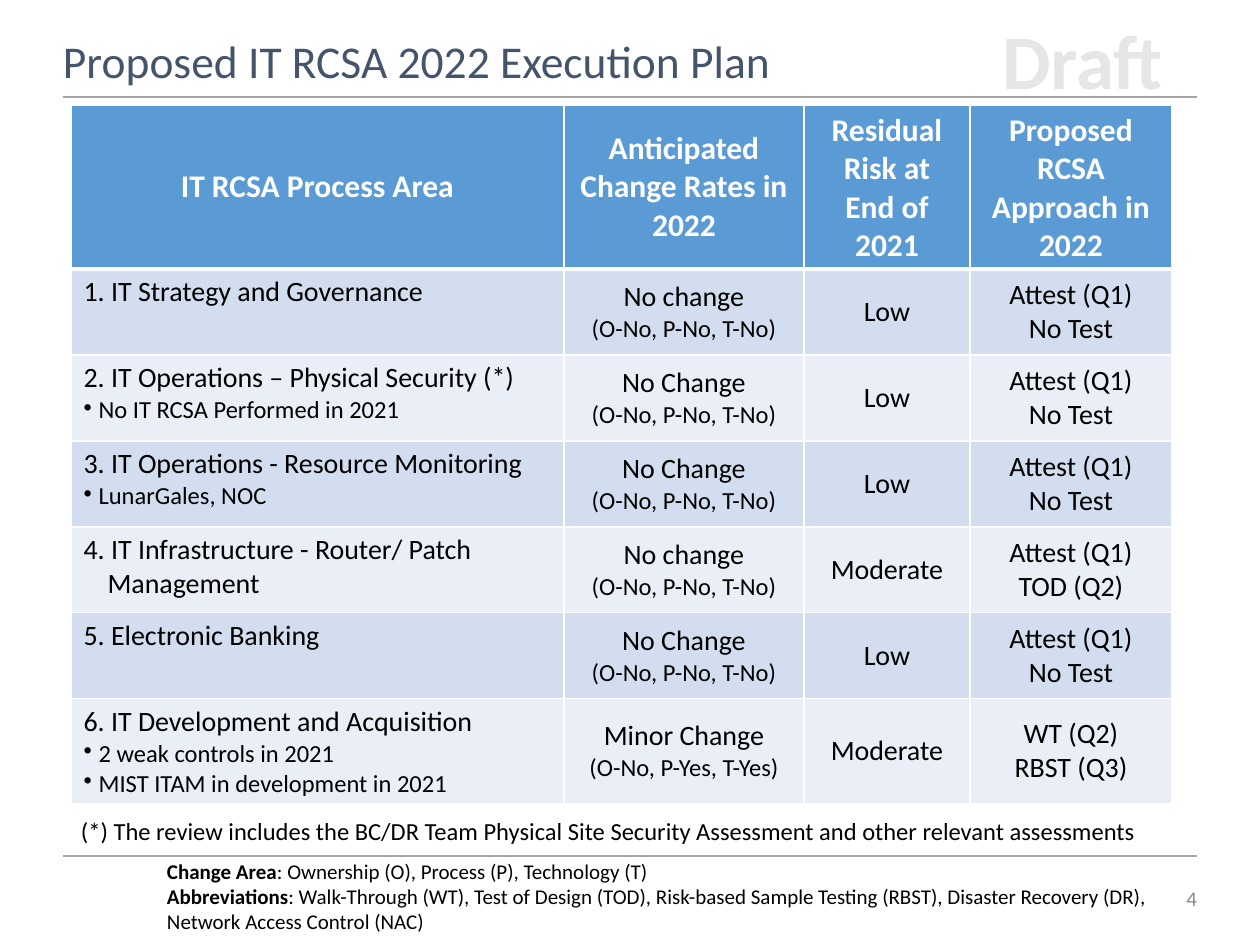
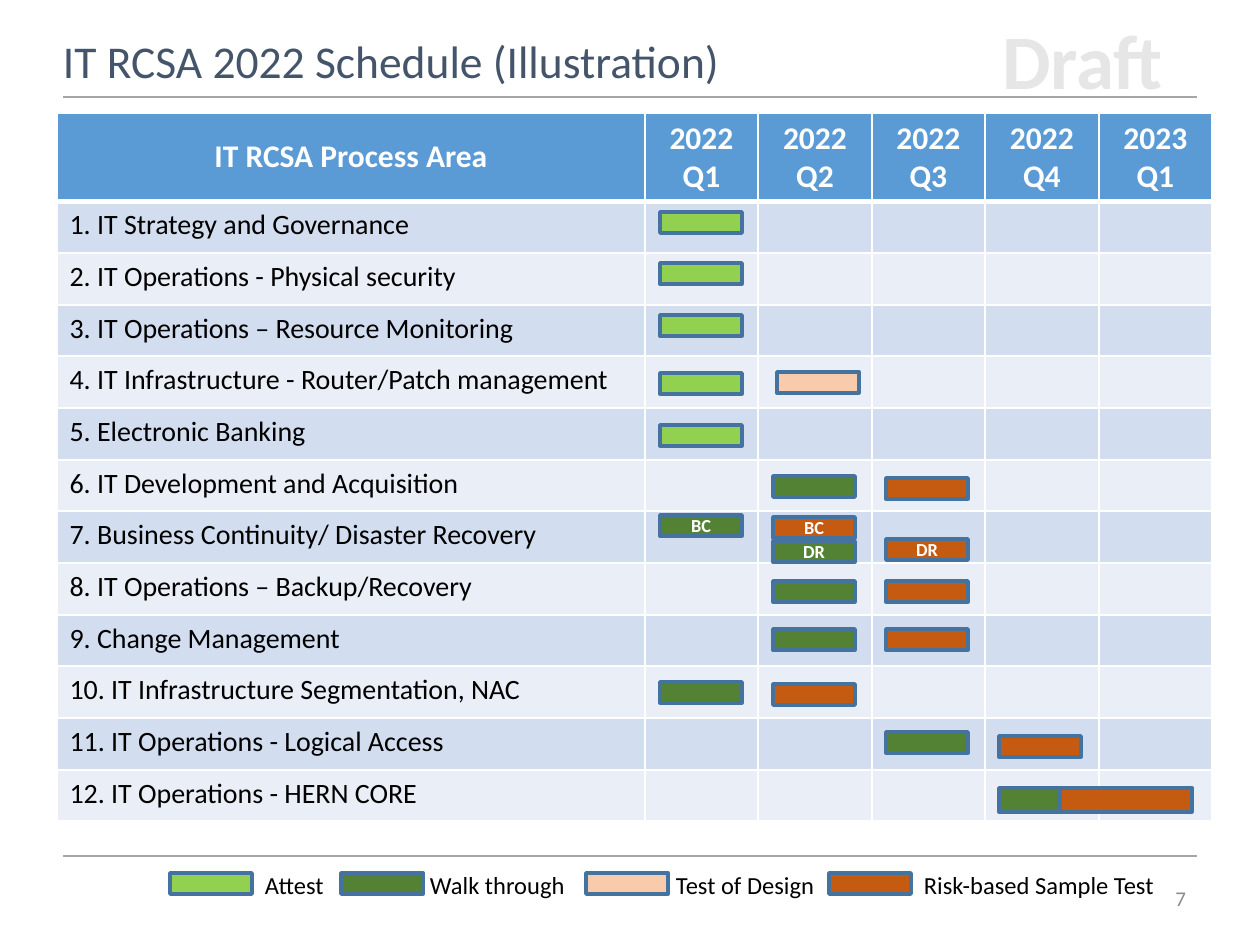
"""Build two slides of an IT risk and control self-assessment (RCSA) plan."""
from dataclasses import dataclass

import pptx
import pptx.dml.color
import pptx.enum.shapes
import pptx.enum.text
import pptx.oxml
import pptx.oxml.ns
import pptx.util

EMU_PER_PIXEL = 914400 / 126
FONT = "Calibri"
COLORS = {
    "rule": "A6A6A6", "stamp": "E7E6E6", "title": "44546A", "number": "8C8C8C",
    "text": "000000", "white": "FFFFFF", "header": "5B9BD5",
    "odd": "D2DEEF", "even": "EAEFF7", "outline": "43739E",
    "attest": "92D050", "walk": "548235", "design": "F8CBAD", "sample": "C55A11",
}
ALIGN = pptx.enum.text.PP_ALIGN
ANCHOR = pptx.enum.text.MSO_ANCHOR


@dataclass
class Line:
    """One paragraph: (text, bold) runs, or a string, and its style."""
    runs: object
    size: float = 16
    color: str = "text"
    bold: bool = False
    align: object = ALIGN.LEFT
    hanging: int = 0
    bullet: bool = False


def px(pixels):
    """Turn pixels into EMU."""
    return pptx.util.Emu(round(pixels * EMU_PER_PIXEL))


def rgb(name):
    """Look up a named colour."""
    return pptx.dml.color.RGBColor.from_string(COLORS[name])


def centered(text, size=16, **style):
    """Make a centred line."""
    return Line(text, size, align=ALIGN.CENTER, **style)


def bullet(text):
    """Make a small bulleted line."""
    return Line(text, 14, hanging=15, bullet=True)


class Deck:
    """The shared style and the slide being drawn."""

    def __init__(self):
        self.presentation = pptx.Presentation()
        self.presentation.slide_width = px(1260)
        self.presentation.slide_height = px(945)
        self.slide = None

    def new_slide(self, title, number, number_left):
        """Start a slide with its title, rules, stamp and page number."""
        blank = self.presentation.slide_layouts[6]
        self.slide = self.presentation.slides.add_slide(blank)
        for height in (97, 856):
            self.rule(63, 1197, height)
        self.text((917, 6, 331, 106),
                  [centered("Draft", 44, color="stamp", bold=True)])
        self.text((number_left, 877, 53, 42),
                  [Line(number, 12, "number", align=ALIGN.RIGHT)],
                  ANCHOR.MIDDLE, right=0)
        self.text((63, 31, 1134, 63), [Line(title, 26, "title")],
                  ANCHOR.BOTTOM, left=0)

    def rule(self, start, end, height):
        """Draw a horizontal grey line."""
        rule = self.slide.shapes.add_connector(
            pptx.enum.shapes.MSO_CONNECTOR.STRAIGHT,
            px(start), px(height), px(end), px(height))
        rule.line.color.rgb = rgb("rule")
        rule.line.width = pptx.util.Pt(1.25)
        rule._element.spPr.append(pptx.oxml.parse_xml(
            f"<a:effectLst {pptx.oxml.ns.nsdecls('a')}/>"))

    def fill_lines(self, frame, lines):
        """Fill a text frame with lines, run by run."""
        for index, line in enumerate(lines):
            paragraph = frame.add_paragraph() if index else frame.paragraphs[0]
            paragraph.alignment = line.align
            runs = line.runs
            if isinstance(runs, str):
                runs = [(runs, line.bold)]
            for words, bold in runs:
                run = paragraph.add_run()
                run.text = words
                run.font.name = FONT
                run.font.size = pptx.util.Pt(line.size)
                run.font.bold = bold
                run.font.color.rgb = rgb(line.color)
            if line.hanging:
                properties = paragraph._p.get_or_add_pPr()
                properties.set("marL", str(px(line.hanging)))
                properties.set("indent", str(-px(line.hanging)))
                if line.bullet:
                    properties.append(pptx.oxml.parse_xml(
                        f"<a:buChar {pptx.oxml.ns.nsdecls('a')} char='•'/>"))

    def text(self, box, lines, anchor=ANCHOR.TOP, left=13, right=13):
        """Add a wrapping text box."""
        frame = self.slide.shapes.add_textbox(*map(px, box)).text_frame
        frame.word_wrap = True
        frame.vertical_anchor = anchor
        frame.margin_left, frame.margin_right = px(left), px(right)
        self.fill_lines(frame, lines)

    def bar(self, box, activity, label=""):
        """Draw an outlined bar in the colour of its activity."""
        bar = self.slide.shapes.add_shape(
            pptx.enum.shapes.MSO_SHAPE.RECTANGLE, *map(px, box))
        bar.shadow.inherit = False
        bar.fill.solid()
        bar.fill.fore_color.rgb = rgb(activity)
        bar.line.color.rgb = rgb("outline")
        bar.line.width = pptx.util.Pt(2)
        if label:
            frame = bar.text_frame
            frame.margin_top = frame.margin_bottom = 0
            frame.vertical_anchor = ANCHOR.MIDDLE
            self.fill_lines(
                frame, [centered(label, 10.5, color="white", bold=True)])

    def cell(self, cell, lines, fill, anchor, top=1, bottom=1):
        """Set a cell's white borders, fill and text."""
        properties = cell._tc.get_or_add_tcPr()
        for side, width in zip("LRTB", (1, 1, top, bottom)):
            properties.append(pptx.oxml.parse_xml(
                f"<a:ln{side} {pptx.oxml.ns.nsdecls('a')} "
                f"w='{pptx.util.Pt(width)}'><a:solidFill>"
                f"<a:srgbClr val='{COLORS['white']}'/></a:solidFill></a:ln{side}>"))
        cell.fill.solid()
        cell.fill.fore_color.rgb = rgb(fill)
        cell.vertical_anchor = anchor
        self.fill_lines(cell.text_frame, lines)

    def table(self, left, top, widths, heights, headings, body):
        """Add a banded table; body cells are lists of lines."""
        table = self.slide.shapes.add_table(
            len(heights), len(widths), px(left), px(top),
            px(sum(widths)), px(sum(heights))).table
        table.horz_banding = False
        for column, width in zip(table.columns, widths):
            column.width = px(width)
        for row, height in zip(table.rows, heights):
            row.height = px(height)
        for column, heading in enumerate(headings):
            self.cell(table.cell(0, column),
                      [centered(heading, 18, color="white", bold=True)],
                      "header", ANCHOR.MIDDLE, bottom=3)
        for row, entries in enumerate(body, 1):
            for column, lines in enumerate(entries):
                self.cell(table.cell(row, column), lines,
                          "odd" if row % 2 else "even",
                          ANCHOR.MIDDLE if column else ANCHOR.TOP,
                          top=3 if row == 1 else 1)


def execution_plan(deck):
    """Draw the plan table with its notes."""
    deck.new_slide("Proposed IT RCSA 2022 Execution Plan", "4", 1144)
    steady = "(O-No, P-No, T-No)"
    plan = [
        ([Line("1. IT Strategy and Governance")],
         "No change", steady, "Low", "Attest (Q1)", "No Test"),
        ([Line("2. IT Operations – Physical Security (*)"),
          bullet("No IT RCSA Performed in 2021")],
         "No Change", steady, "Low", "Attest (Q1)", "No Test"),
        ([Line("3. IT Operations - Resource Monitoring"),
          bullet("LunarGales, NOC")],
         "No Change", steady, "Low", "Attest (Q1)", "No Test"),
        ([Line("4. IT Infrastructure - Router/ Patch Management", hanging=24)],
         "No change", steady, "Moderate", "Attest (Q1)", "TOD (Q2)"),
        ([Line("5. Electronic Banking", hanging=24)],
         "No Change", steady, "Low", "Attest (Q1)", "No Test"),
        ([Line("6. IT Development and Acquisition"),
          bullet("2 weak controls in 2021"),
          bullet("MIST ITAM in development in 2021")],
         "Minor Change", "(O-No, P-Yes, T-Yes)", "Moderate",
         "WT (Q2)", "RBST (Q3)"),
    ]
    body = [
        [area, [centered(change), centered(detail, 14)], [centered(risk)],
         [centered(first), centered(second)]]
        for area, change, detail, risk, first, second in plan
    ]
    headings = ["IT RCSA Process Area", "Anticipated Change Rates in 2022",
                "Residual Risk at End of 2021", "Proposed RCSA Approach in 2022"]
    deck.table(71, 105, [493, 240, 166, 202], [154] + [86] * 6, headings, body)
    deck.text((154, 852, 1017, 89), [
        Line([("Change Area", True),
              (": Ownership (O), Process (P), Technology (T)", False)], 12),
        Line([("Abbreviations", True),
              (": Walk-Through (WT), Test of Design (TOD), Risk-based Sample "
               "Testing (RBST), Disaster Recovery (DR), Network Access Control "
               "(NAC)", False)], 12),
    ])
    deck.text((68, 810, 1110, 43), [
        Line("(*) The review includes the BC/DR Team Physical Site Security "
             "Assessment and other relevant assessments", 14)])


def schedule(deck):
    """Draw the schedule grid, its bars and its legend."""
    deck.new_slide("IT RCSA 2022 Schedule (Illustration)", "7", 1133)
    areas = [
        "IT Strategy and Governance", "IT Operations - Physical security",
        "IT Operations – Resource Monitoring",
        "IT Infrastructure - Router/Patch management", "Electronic Banking",
        "IT Development and Acquisition",
        "Business Continuity/ Disaster Recovery",
        "IT Operations – Backup/Recovery", "Change Management",
        "IT Infrastructure Segmentation, NAC", "IT Operations - Logical Access",
        "IT Operations - HERN CORE",
    ]
    quarters = ["2022 Q1", "2022 Q2", "2022 Q3", "2022 Q4", "2023 Q1"]
    body = [[[Line(f"{number}. {area}")]] + [[] for _ in quarters]
            for number, area in enumerate(areas, 1)]
    deck.table(57, 113, [588, 113, 114, 113, 114, 113],
               [62] + [52, 52, 51] * 4,
               ["IT RCSA Process Area"] + quarters, body)

    width, height = 82, 21
    q1, q2, q3, q4 = (660 + 113 * quarter for quarter in range(4))
    legend = [
        ("attest", "Attest", 170, 252, 90),
        ("walk", "Walk through", 341, 417, 165),
        ("design", "Test of Design", 586, 663, 185),
        ("sample", "Risk-based Sample Test", 829, 911, 262),
    ]
    for activity, label, swatch_left, label_left, label_width in legend:
        deck.bar((swatch_left, 873, width, height), activity)
        deck.text((label_left, 864, label_width, 43), [Line(label, 14)])

    for top in (212, 263, 315, 373, 425):
        deck.bar((q1, top, width, height), "attest")
    deck.bar((q2 + 4, 372, width, height), "design")
    reviews = [
        (q2, 476, "walk", ""), (q3, 478, "sample", ""),
        (q1, 515, "walk", "BC"), (q2, 517, "sample", "BC"),
        (q2, 541, "walk", "DR"), (q3, 539, "sample", "DR"),
        (q2, 581, "walk", ""), (q3, 581, "sample", ""),
        (q2, 629, "walk", ""), (q3, 629, "sample", ""),
        (q1, 682, "walk", ""), (q2, 684, "sample", ""),
        (q3, 732, "walk", ""), (q4, 736, "sample", ""),
    ]
    for left, top, activity, label in reviews:
        deck.bar((left, top, width, height), activity, label)
    deck.bar((q4, 788, 61, 24), "walk")
    deck.bar((q4 + 61, 788, 132, 24), "sample")


deck = Deck()
execution_plan(deck)
schedule(deck)
deck.presentation.save("out.pptx")
